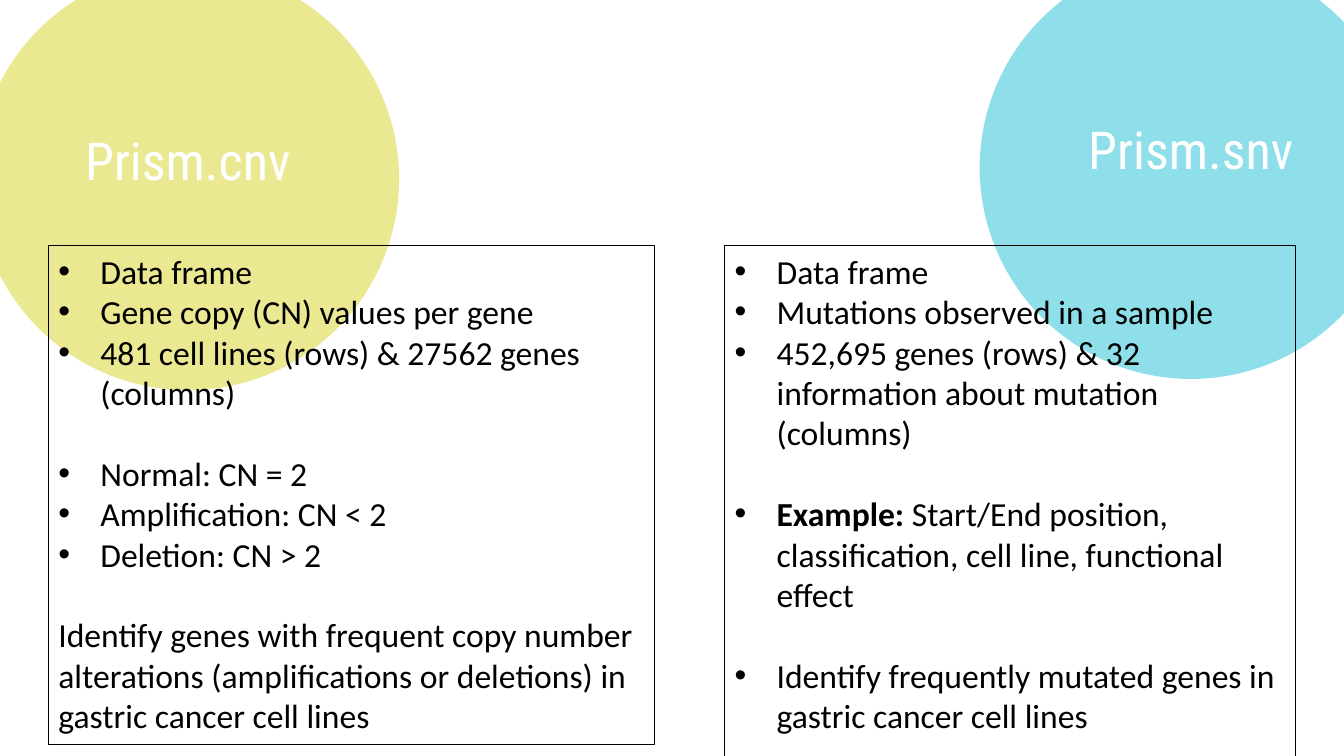
from dataclasses import dataclass

from lxml.etree import SubElement
from pptx import Presentation
from pptx.dml.color import RGBColor
from pptx.enum.shapes import MSO_SHAPE as Shape
from pptx.enum.text import MSO_ANCHOR as Anchor, PP_ALIGN as Align
from pptx.oxml.ns import qn
from pptx.util import Pt

DIAMETER = 301.7
PANEL_TOP = 175.7
INDENT = 30
GAP = 29
BODY_SIZE = 24


@dataclass
class Circle:
    title: str
    left: float
    top: float
    fill: str


@dataclass
class Item:
    text: str
    lead: str = ""
    bullet: bool = True
    gap: bool = False


@dataclass
class Panel:
    left: float
    width: float
    height: float
    items: list[Item]


CIRCLES = [
    Circle("Prism.cnv", -16.6, -23, "EAE891"),
    Circle("Prism.snv", 699.8, -31, "8EDFEA"),
]

PANELS = [
    Panel(34.6, 432.7, 356.4, [
        Item("Data frame"),
        Item("Gene copy (CN) values per gene"),
        Item("481 cell lines (rows) & 27562 genes (columns)"),
        Item("Normal: CN = 2", gap=True),
        Item("Amplification: CN < 2"),
        Item("Deletion: CN > 2"),
        Item("Identify genes with frequent copy number alterations "
             "(amplifications or deletions) in gastric cancer cell lines",
             bullet=False, gap=True),
    ]),
    Panel(517.7, 407.5, 385.2, [
        Item("Data frame"),
        Item("Mutations observed in a sample"),
        Item("452,695 genes (rows) & 32 information about mutation (columns)"),
        Item("Start/End position, classification, cell line, functional effect",
             lead="Example: ", gap=True),
        Item("Identify frequently mutated genes in gastric cancer cell lines",
             gap=True),
    ]),
]


def rgb(value: str) -> RGBColor:
    return RGBColor.from_string(value)


def set_font(font, name: str, size: float, color: str) -> None:
    font.name = name
    font.size = Pt(size)
    font.color.rgb = rgb(color)


def add_bullet(p) -> None:
    props = p._p.get_or_add_pPr()
    props.set("marL", str(Pt(INDENT)))
    props.set("indent", str(-Pt(INDENT)))
    SubElement(props, qn("a:buFont"), typeface="Arial")
    SubElement(props, qn("a:buChar"), char="•")


def draw_circle(s, circle: Circle) -> None:
    sp = s.shapes.add_shape(Shape.OVAL, Pt(circle.left), Pt(circle.top),
                            Pt(DIAMETER), Pt(DIAMETER))
    sp.shadow.inherit = False
    sp.fill.solid()
    sp.fill.fore_color.rgb = rgb(circle.fill)
    sp.line.fill.background()
    tf = sp.text_frame
    tf.margin_left = tf.margin_right = tf.margin_top = 0
    tf.margin_bottom = Pt(28)
    tf.vertical_anchor = Anchor.MIDDLE
    tf.text = circle.title
    p = tf.paragraphs[0]
    p.alignment = Align.CENTER
    set_font(p.runs[0].font, "Roboto Condensed", 37.3, "FFFFFF")


def draw_panel(s, panel: Panel) -> None:
    sp = s.shapes.add_textbox(Pt(panel.left), Pt(PANEL_TOP),
                              Pt(panel.width), Pt(panel.height))
    sp.line.color.rgb = rgb("000000")
    sp.line.width = Pt(0.75)
    tf = sp.text_frame
    tf.word_wrap = True
    for i, item in enumerate(panel.items):
        p = tf.add_paragraph() if i else tf.paragraphs[0]
        if item.gap:
            p.space_before = Pt(GAP)
        if item.bullet:
            add_bullet(p)
        p.text = item.lead or item.text
        if item.lead:
            p.runs[0].font.bold = True
            p.add_run().text = item.text
        for r in p.runs:
            set_font(r.font, "Calibri", BODY_SIZE, "000000")


def main() -> None:
    prs = Presentation()
    prs.slide_width, prs.slide_height = Pt(960), Pt(540)
    s = prs.slides.add_slide(prs.slide_layouts[6])
    for circle in CIRCLES:
        draw_circle(s, circle)
    for panel in PANELS:
        draw_panel(s, panel)
    prs.save("out.pptx")


if __name__ == "__main__":
    main()
